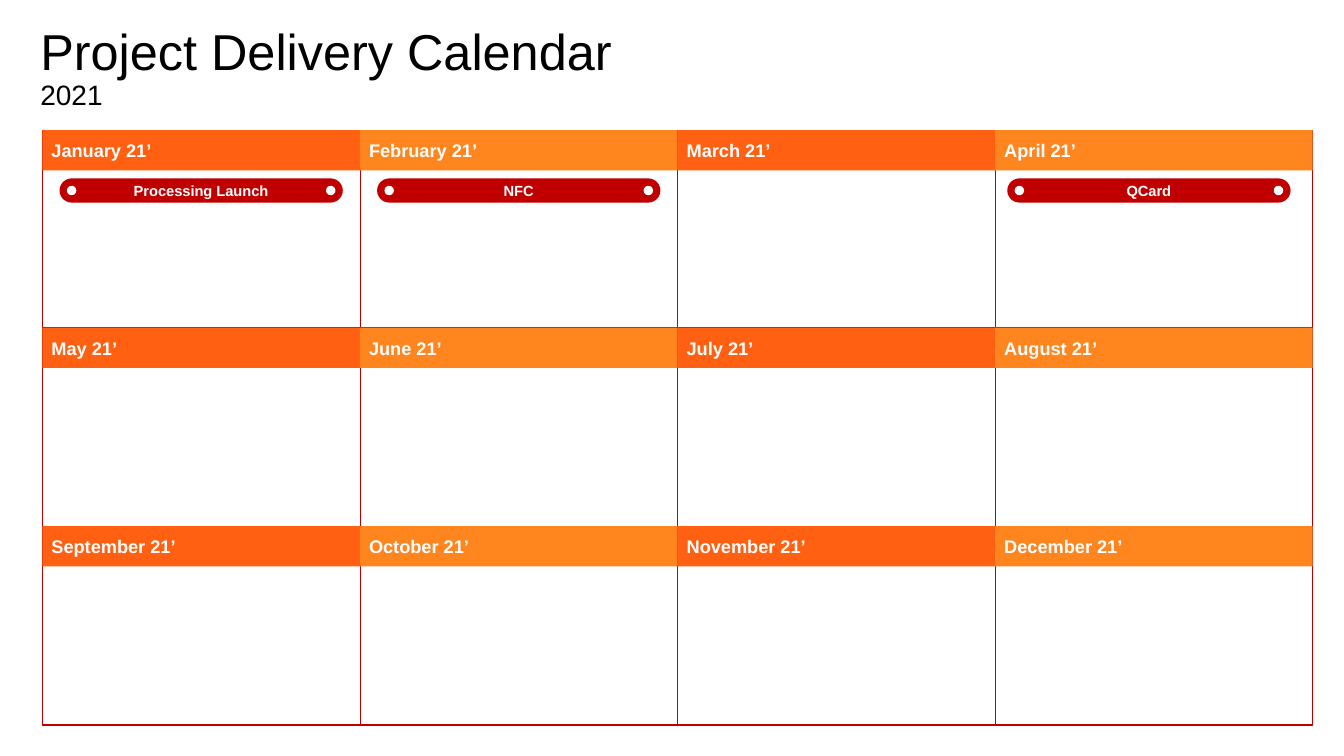
from dataclasses import dataclass
from typing import NamedTuple

from pptx import Presentation
from pptx.dml.color import RGBColor
from pptx.enum.shapes import MSO_SHAPE as Preset
from pptx.enum.text import MSO_ANCHOR as Anchor, MSO_AUTO_SIZE as AutoSize, PP_ALIGN as Align
from pptx.util import Pt

EMU_PER_PX = 9144


@dataclass(frozen=True)
class Theme:
    """Colours, font and type sizes of the calendar."""
    font: str = "Arial"
    ink: str = "000000"
    paper: str = "FFFFFF"
    accent: str = "C00000"
    headers: tuple = ("FF6011", "FF851E")
    title_size: float = 36
    year_size: float = 20
    month_size: float = 13
    event_size: float = 10.5
    grid_line: float = 0.5
    dot_line: float = 1


class Box(NamedTuple):
    """A rectangle in px."""
    left: int
    top: int
    width: int
    height: int


THEME = Theme()
SLIDE = Box(0, 0, 1333, 750)
TITLE = Box(30, -4, 1150, 145)
CALENDAR = Box(42, 129, 1260, 591)
COLUMNS, ROWS = 4, 3
HEADER_HEIGHT = 40
MONTHS = ("January", "February", "March", "April", "May", "June", "July",
          "August", "September", "October", "November", "December")
EVENTS = (("Processing Launch", 0, 17), ("NFC", 1, 17), ("QCard", 3, 12))


def px(length):
    """Turn px into EMU."""
    return length * EMU_PER_PX


def apply_format(target, values):
    """Set each attribute of the target from a dict."""
    for name, value in values.items():
        setattr(target, name, value)


def style_span(span, size, color, bold=False):
    """Set the font of one run."""
    apply_format(span.font, {"name": THEME.font, "size": Pt(size), "bold": bold})
    span.font.color.rgb = RGBColor.from_string(color)


def add_block(shapes, preset, box, fill=None, line=None, weight=0):
    """Add a preset shape with the given fill and outline."""
    block = shapes.add_shape(preset, *map(px, box))
    block.shadow.inherit = False
    if fill:
        block.fill.solid()
        block.fill.fore_color.rgb = RGBColor.from_string(fill)
    else:
        block.fill.background()
    if line:
        block.line.color.rgb = RGBColor.from_string(line)
        block.line.width = Pt(weight)
    else:
        block.line.fill.background()
    return block


def add_label(block, text, size, align):
    """Write one bold line in a block."""
    frame = block.text_frame
    apply_format(frame, {"word_wrap": True, "vertical_anchor": Anchor.MIDDLE,
                         "margin_left": px(9), "margin_right": px(9),
                         "margin_top": px(5), "margin_bottom": px(5)})
    para = frame.paragraphs[0]
    para.alignment = align
    span = para.add_run()
    span.text = text
    style_span(span, size, THEME.paper, bold=True)


def fill_title(title, box):
    """Place the title with the year on its second line."""
    apply_format(title, dict(zip(box._fields, map(px, box))))
    frame = title.text_frame
    apply_format(frame, {"word_wrap": True, "auto_size": AutoSize.NONE,
                         "vertical_anchor": Anchor.MIDDLE})
    para = frame.paragraphs[0]
    apply_format(para, {"alignment": Align.LEFT, "line_spacing": 0.9})
    heading = para.add_run()
    heading.text = "Project Delivery Calendar"
    style_span(heading, THEME.title_size, THEME.ink)
    para.add_line_break()
    year = para.add_run()
    year.text = "2021"
    style_span(year, THEME.year_size, THEME.ink)


def add_calendar(shapes, box):
    """Draw the row and column frames, then the month headers over them."""
    column_width = box.width // COLUMNS
    lefts = [box.left + column * column_width for column in range(COLUMNS)]
    tops = [box.top + row * (box.height - 1) // ROWS for row in range(ROWS)]
    frames = [Box(box.left, top, box.width, box.height // ROWS) for top in tops]
    frames += [Box(left, box.top, column_width, box.height) for left in lefts]
    group = shapes.add_group_shape().shapes
    for frame in frames:
        add_block(group, Preset.RECTANGLE, frame, line=THEME.accent, weight=THEME.grid_line)
    for index, month in enumerate(MONTHS):
        row, column = divmod(index, COLUMNS)
        header = add_block(group, Preset.RECTANGLE,
                           Box(lefts[column], tops[row], column_width, HEADER_HEIGHT),
                           fill=THEME.headers[column % 2])
        add_label(header, f"{month} 21’", THEME.month_size, Align.LEFT)


def add_event(shapes, box, name):
    """Draw an event pill with a dot at each end."""
    group = shapes.add_group_shape().shapes
    pill = add_block(group, Preset.ROUNDED_RECTANGLE, box, fill=THEME.accent)
    pill.adjustments[0] = 0.5
    add_label(pill, name, THEME.event_size, Align.CENTER)
    dot, inset = 8, 8
    for left in (box.left + inset, box.left + box.width - inset - dot):
        add_block(group, Preset.OVAL, Box(left, box.top + (box.height - dot) // 2, dot, dot),
                  fill=THEME.paper, line=THEME.paper, weight=THEME.dot_line)


def build_slide(deck, box):
    """Build the calendar slide."""
    deck.slide_width, deck.slide_height = px(box.width), px(box.height)
    page = deck.slides.add_slide(deck.slide_layouts[5])
    fill_title(page.shapes.title, TITLE)
    add_calendar(page.shapes, CALENDAR)
    for name, column, indent in EVENTS:
        left = CALENDAR.left + column * CALENDAR.width // COLUMNS + indent
        add_event(page.shapes, Box(left, CALENDAR.top + HEADER_HEIGHT + 8, 281, 24), name)


def main():
    """Create and save the deck."""
    deck = Presentation()
    build_slide(deck, SLIDE)
    deck.save("out.pptx")


if __name__ == "__main__":
    main()
